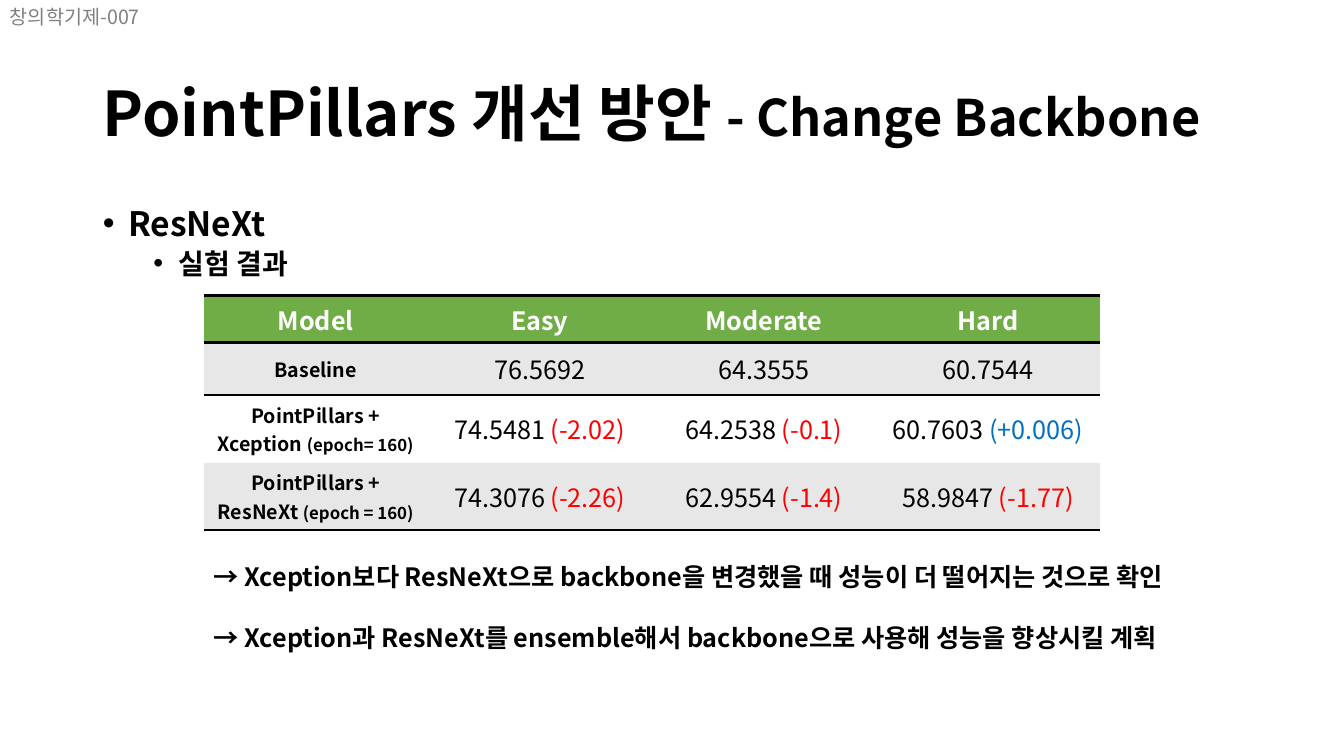
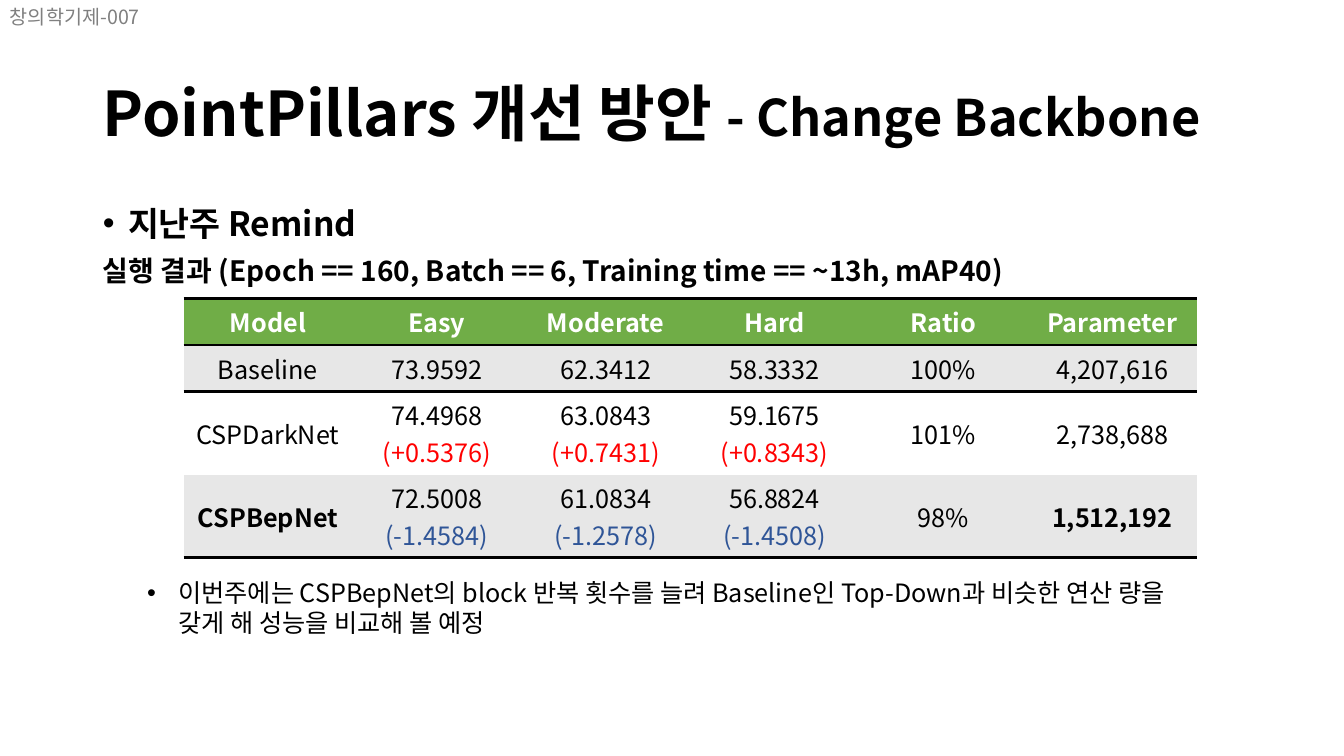
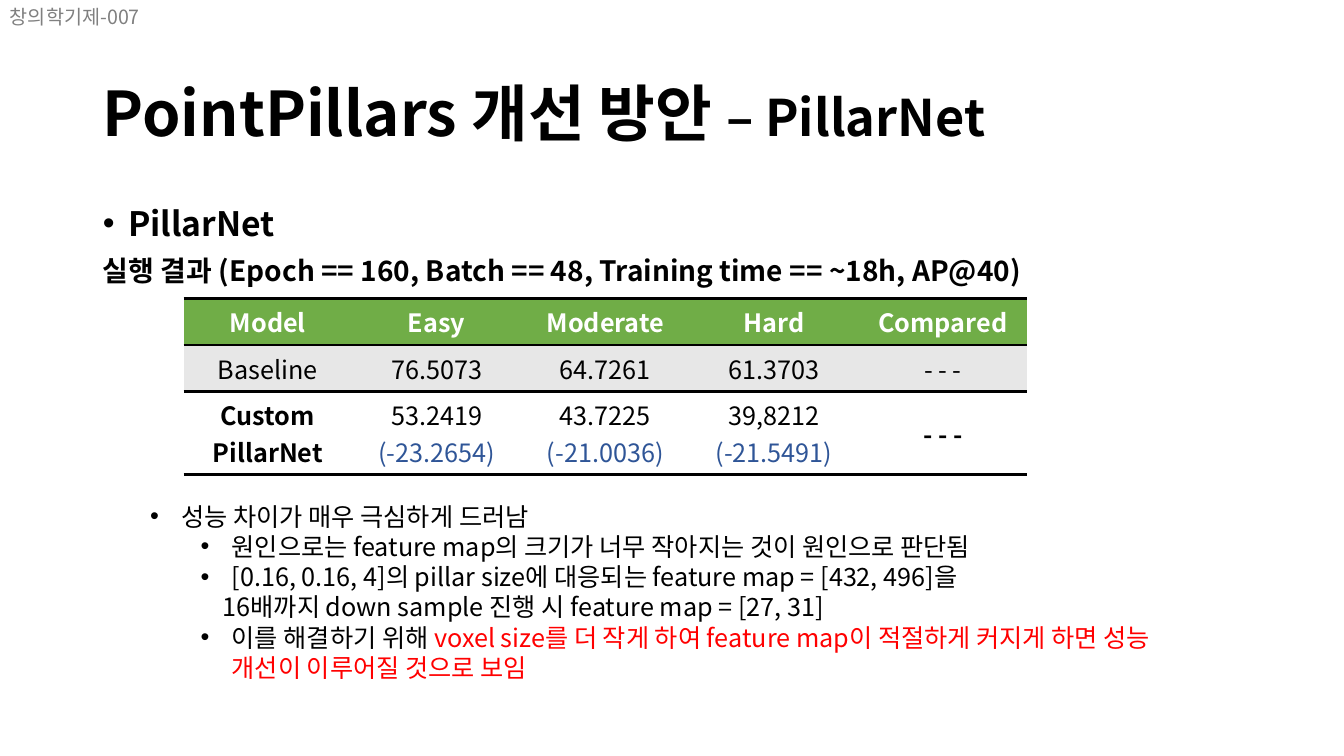
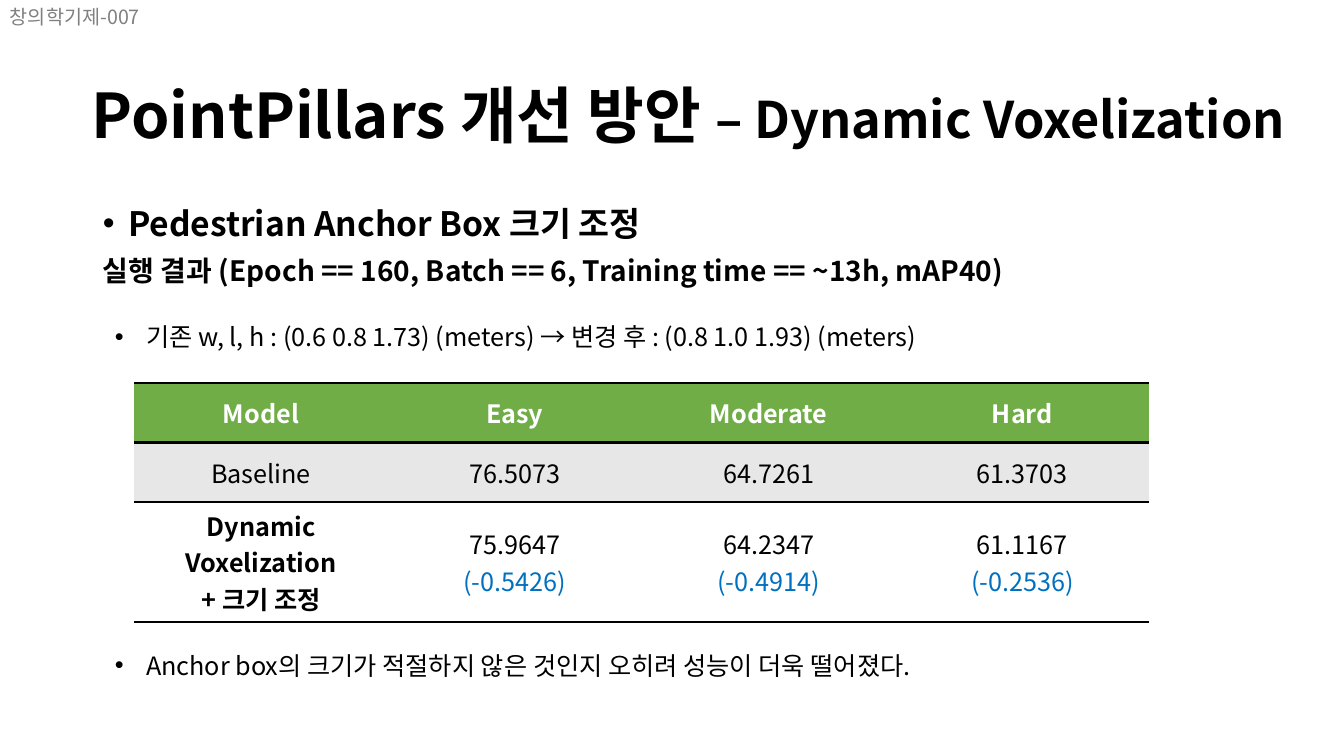
from dataclasses import dataclass

import pptx
import pptx.dml.color
import pptx.enum.text
import pptx.util
from lxml import etree
from pptx.oxml.ns import qn

Inches = pptx.util.Inches
Pt = pptx.util.Pt
TextEnum = pptx.enum.text


@dataclass(frozen=True)
class Theme:
    font: str = "Noto Sans CJK KR"
    black: str = "000000"
    white: str = "FFFFFF"
    gray: str = "808080"
    green: str = "70AD47"
    stripe: str = "E7E7E7"
    red: str = "FF0000"
    blue: str = "0070C0"
    navy: str = "2F5597"
    title: int = 44
    topic: int = 36
    heading: int = 24
    subheading: int = 20
    text: int = 18
    small: int = 14
    tiny: int = 12
    rule: int = 2
    no_table_style: str = "{2D5ABB26-0587-4C30-8999-92F81FD0307C}"


@dataclass(frozen=True)
class Line:
    """One paragraph of a list or a text box."""
    text: str
    size: int = Theme.text
    bold: bool = False
    bullet: bool = True
    left: float = 0.31
    hang: float = 0.31
    level: int = 0
    before: int = 0
    accent: str = ""  # closing words in the accent colour


class Deck:
    def __init__(self, theme):
        self.theme = theme
        self.prs = pptx.Presentation()
        self.prs.slide_width = Inches(13.33)
        self.prs.slide_height = Inches(7.5)
        self.slide = None

    # Text helpers
    def style(self, run, size, color, bold=False):
        font = run.font
        font.size, font.bold, font.name = Pt(size), bold, self.theme.font
        font.color.rgb = pptx.dml.color.RGBColor.from_string(color)
        east_asian = etree.Element(qn("a:ea"), typeface=self.theme.font)
        font._element.find(qn("a:latin")).addnext(east_asian)

    def add_run(self, paragraph, text, size, color, bold=False):
        run = paragraph.add_run()
        run.text = text
        self.style(run, size, color, bold)

    def add_lines(self, frame, lines, leading, color=None):
        frame.word_wrap = True
        frame.auto_size = TextEnum.MSO_AUTO_SIZE.NONE
        for index, line in enumerate(lines):
            paragraph = frame.paragraphs[0] if index == 0 else frame.add_paragraph()
            paragraph.level = line.level
            paragraph.line_spacing = Pt(line.size * leading)
            paragraph.space_before = Pt(line.before)
            self.add_run(paragraph, line.text, line.size, color or self.theme.black, line.bold)
            if line.accent:
                self.add_run(paragraph, line.accent, line.size, self.theme.red, line.bold)
            self.indent(paragraph, line)

    def indent(self, paragraph, line):
        props = paragraph._p.get_or_add_pPr()
        props.set("marL", str(Inches(line.left)))
        props.set("indent", str(-Inches(line.hang)))
        if line.bullet:
            etree.SubElement(props, qn("a:buFont"), typeface="Arial")
            etree.SubElement(props, qn("a:buChar"), char="•")
        else:
            etree.SubElement(props, qn("a:buNone"))

    def place(self, shape, at):
        shape.left, shape.top, shape.width, shape.height = map(Inches, at)

    # Slide parts
    def new_slide(self, topic, at=(0.92, 0.4, 11.5, 1.45), leading=50, top_inset=0.05):
        theme = self.theme
        self.slide = self.prs.slides.add_slide(self.prs.slide_layouts[1])
        title = self.slide.shapes.title
        self.place(title, at)
        frame = title.text_frame
        frame.word_wrap = True
        frame.auto_size = TextEnum.MSO_AUTO_SIZE.NONE
        frame.vertical_anchor = TextEnum.MSO_ANCHOR.MIDDLE
        frame.margin_top = Inches(top_inset)
        heading = frame.paragraphs[0]
        heading.alignment = TextEnum.PP_ALIGN.LEFT
        heading.line_spacing = Pt(leading)
        self.add_run(heading, "PointPillars 개선 방안 ", theme.title, theme.black, True)
        self.add_run(heading, topic, theme.topic, theme.black, True)
        self.text_box((0, 0, 1.71, 0.34),
                      [plain("창의학기제-007", theme.small)], theme.gray)

    def body(self, heading, detail):
        body = self.slide.placeholders[1]
        self.place(body, (0.92, 2, 11.5, 4.76))
        first = Line(heading, self.theme.heading, True, left=0.25, hang=0.25, before=10)
        self.add_lines(body.text_frame, [first, detail], 1.08)

    def text_box(self, at, lines, color=None):
        box = self.slide.shapes.add_textbox(*map(Inches, at))
        self.add_lines(box.text_frame, lines, 1.2, color)

    # Tables
    def table(self, left, top, width, heights, rows, deltas, label_size=Theme.text):
        """A leading * makes a cell bold; a bracket takes the colour of its sign."""
        theme = self.theme
        count = len(rows[0])
        table = self.slide.shapes.add_table(
            len(rows), count, Inches(left), Inches(top),
            Inches(width), Inches(sum(heights))).table
        table._tbl.tblPr.find(qn("a:tableStyleId")).text = theme.no_table_style
        for column in table.columns:
            column.width = Inches(width / count)
        for r, (height, row) in enumerate(zip(heights, rows)):
            table.rows[r].height = Inches(height)
            fill = theme.green if r == 0 else (theme.stripe if r % 2 else theme.white)
            edges = ["a:lnT"] if r < 2 else []
            if r in (0, len(rows) - 1):
                edges.append("a:lnB")
            for c, text in enumerate(row):
                cell = table.cell(r, c)
                cell.vertical_anchor = TextEnum.MSO_ANCHOR.MIDDLE
                cell.fill.solid()
                cell.fill.fore_color.rgb = pptx.dml.color.RGBColor.from_string(fill)
                self.rule(cell, edges)
                size = label_size if r and c == 0 else theme.text
                self.fill_cell(cell, text, size, r == 0, deltas)

    def fill_cell(self, cell, text, size, header, deltas):
        theme = self.theme
        bold = header or text.startswith("*")
        color = theme.white if header else theme.black
        cell.text_frame.text = text.lstrip("*")
        for paragraph in cell.text_frame.paragraphs:
            value, bracket, rest = paragraph.text.partition("(")
            paragraph.text = ""
            paragraph.alignment = TextEnum.PP_ALIGN.CENTER
            if value:
                self.add_run(paragraph, value, size, color, bold)
            if bracket:
                is_delta = rest[0] in "+-"
                self.add_run(paragraph, bracket + rest,
                             size if is_delta else theme.tiny,
                             deltas[rest[0]] if is_delta else color, bold)

    def rule(self, cell, edges):
        props = cell._tc.get_or_add_tcPr()
        for index, edge in enumerate(edges):
            line = etree.Element(qn(edge), w=str(Pt(self.theme.rule)))
            solid = etree.SubElement(line, qn("a:solidFill"))
            etree.SubElement(solid, qn("a:srgbClr"), val=self.theme.black)
            props.insert(index, line)


def plain(text, size=Theme.text, left=0, **options):
    return Line(text, size, bullet=False, left=left, hang=0, **options)


def run_result(settings, theme):
    return plain(f"실행 결과 ({settings})", theme.subheading, bold=True, before=10)


def main():
    theme = Theme()
    deck = Deck(theme)
    scores = ["Model", "Easy", "Moderate", "Hard"]

    # ResNeXt results
    deck.new_slide("- Change Backbone")
    deck.body("ResNeXt", Line("실험 결과", theme.subheading, True,
                              left=0.75, hang=0.25, level=1, before=5))
    deck.table(2.02, 2.93, 8.89, [0.47, 0.52, 0.67, 0.67], [
        scores,
        ["*Baseline", "76.5692", "64.3555", "60.7544"],
        ["*PointPillars + Xception (epoch= 160)",
         "74.5481 (-2.02)", "64.2538 (-0.1)", "60.7603 (+0.006)"],
        ["*PointPillars + ResNeXt (epoch = 160)",
         "74.3076 (-2.26)", "62.9554 (-1.4)", "58.9847 (-1.77)"],
    ], {"-": theme.red, "+": theme.blue}, theme.small)
    deck.text_box((2.02, 5.52, 10.39, 1.01), [
        plain("→ Xception보다 ResNeXt으로 backbone을 변경했을 때 성능이 더 떨어지는 것으로 확인",
              bold=True),
        plain("→ Xception과 ResNeXt를 ensemble해서 backbone으로 사용해 성능을 향상시킬 계획",
              bold=True, before=22),
    ])

    # Reminder of last week
    deck.new_slide("- Change Backbone")
    deck.body("지난주 Remind", run_result(
        "Epoch == 160, Batch == 6, Training time == ~13h, mAP40", theme))
    deck.table(1.82, 2.96, 10.05, [0.46, 0.46, 0.82, 0.82], [
        scores + ["Ratio", "Parameter"],
        ["Baseline", "73.9592", "62.3412", "58.3332", "100%", "4,207,616"],
        ["CSPDarkNet", "74.4968\n(+0.5376)", "63.0843\n(+0.7431)",
         "59.1675\n(+0.8343)", "101%", "2,738,688"],
        ["*CSPBepNet", "72.5008\n(-1.4584)", "61.0834\n(-1.2578)",
         "56.8824\n(-1.4508)", "98%", "*1,512,192"],
    ], {"+": theme.red, "-": theme.navy})
    deck.text_box((1.36, 5.68, 10.65, 0.71), [
        Line("이번주에는 CSPBepNet의 block 반복 횟수를 늘려 Baseline인 Top-Down과 비슷한 연산 "
             "량을 갖게 해 성능을 비교해 볼 예정")])

    # PillarNet results
    deck.new_slide("– PillarNet")
    deck.body("PillarNet", run_result(
        "Epoch == 160, Batch == 48, Training time == ~18h, AP@40", theme))
    deck.table(1.82, 2.96, 8.37, [0.46, 0.46, 0.82], [
        scores + ["Compared"],
        ["Baseline", "76.5073", "64.7261", "61.3703", "- - -"],
        ["*Custom PillarNet", "53.2419\n(-23.2654)", "43.7225\n(-21.0036)",
         "39,8212\n(-21.5491)", "*- - -"],
    ], {"-": theme.navy})
    deck.text_box((1.39, 4.92, 10.65, 2.52), [
        Line("성능 차이가 매우 극심하게 드러남"),
        Line("원인으로는 feature map의 크기가 너무 작아지는 것이 원인으로 판단됨",
             left=0.81, level=1),
        Line("[0.16, 0.16, 4]의 pillar size에 대응되는 feature map = [432, 496]을",
             left=0.81, level=1),
        plain("16배까지 down sample 진행 시 feature map = [27, 31]", left=0.72, level=1),
        Line("이를 해결하기 위해 ", left=0.81, level=1,
             accent="voxel size를 더 작게 하여 feature map이 적절하게 커지게 하면 성능 "
                    "개선이 이루어질 것으로 보임"),
    ])

    # Anchor box results
    deck.new_slide("– Dynamic Voxelization", (0.81, 0.39, 12.08, 1.45), 41, 0.25)
    deck.body("Pedestrian Anchor Box 크기 조정", run_result(
        "Epoch == 160, Batch == 6, Training time == ~13h, mAP40", theme))
    deck.table(1.33, 3.8, 10.07, [0.59, 0.59, 1.19], [
        scores,
        ["Baseline", "76.5073", "64.7261", "61.3703"],
        ["*Dynamic\nVoxelization\n+ 크기 조정", "75.9647\n(-0.5426)",
         "64.2347\n(-0.4914)", "61.1167\n(-0.2536)"],
    ], {"-": theme.blue})
    for top, note in (
        (3.14, "기존 w, l, h : (0.6 0.8 1.73) (meters) → 변경 후 : (0.8 1.0 1.93) (meters)"),
        (6.4, "Anchor box의 크기가 적절하지 않은 것인지 오히려 성능이 더욱 떨어졌다."),
    ):
        deck.text_box((1.04, top, 10.65, 0.4), [Line(note)])

    deck.prs.save("out.pptx")


if __name__ == "__main__":
    main()
